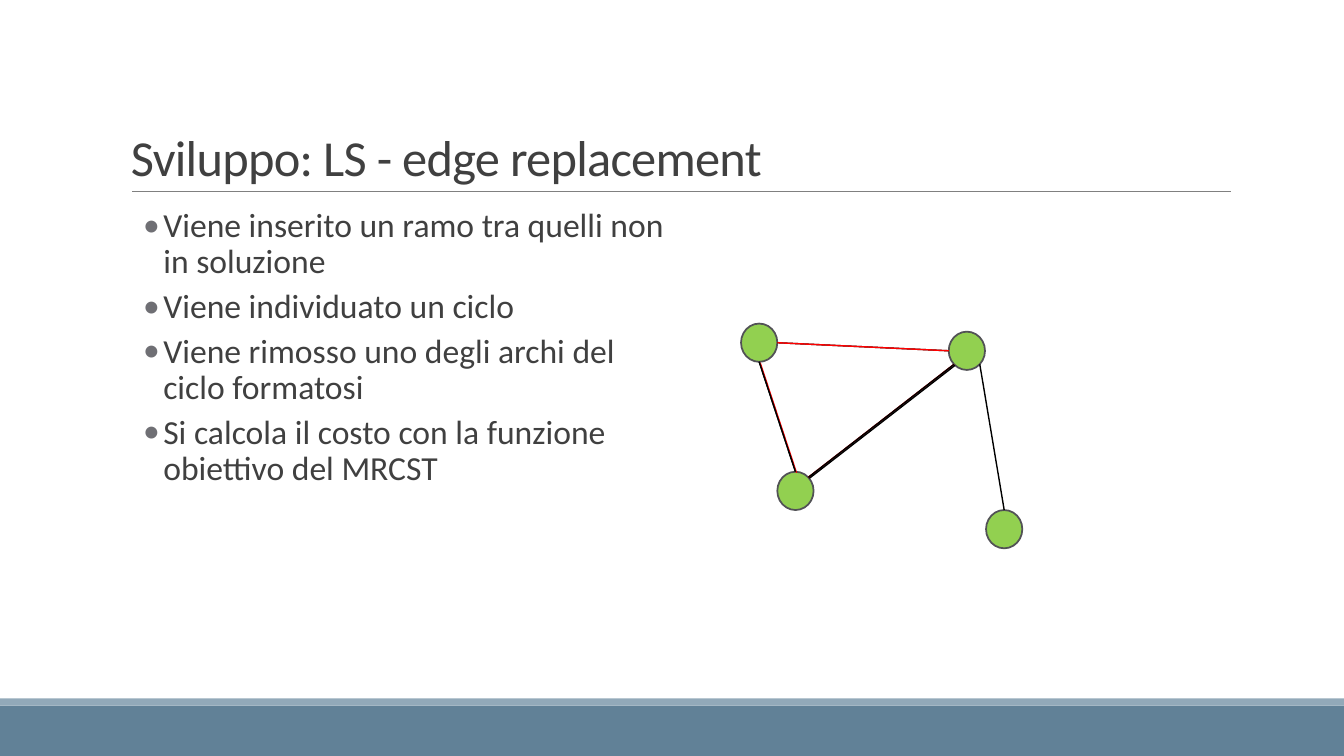
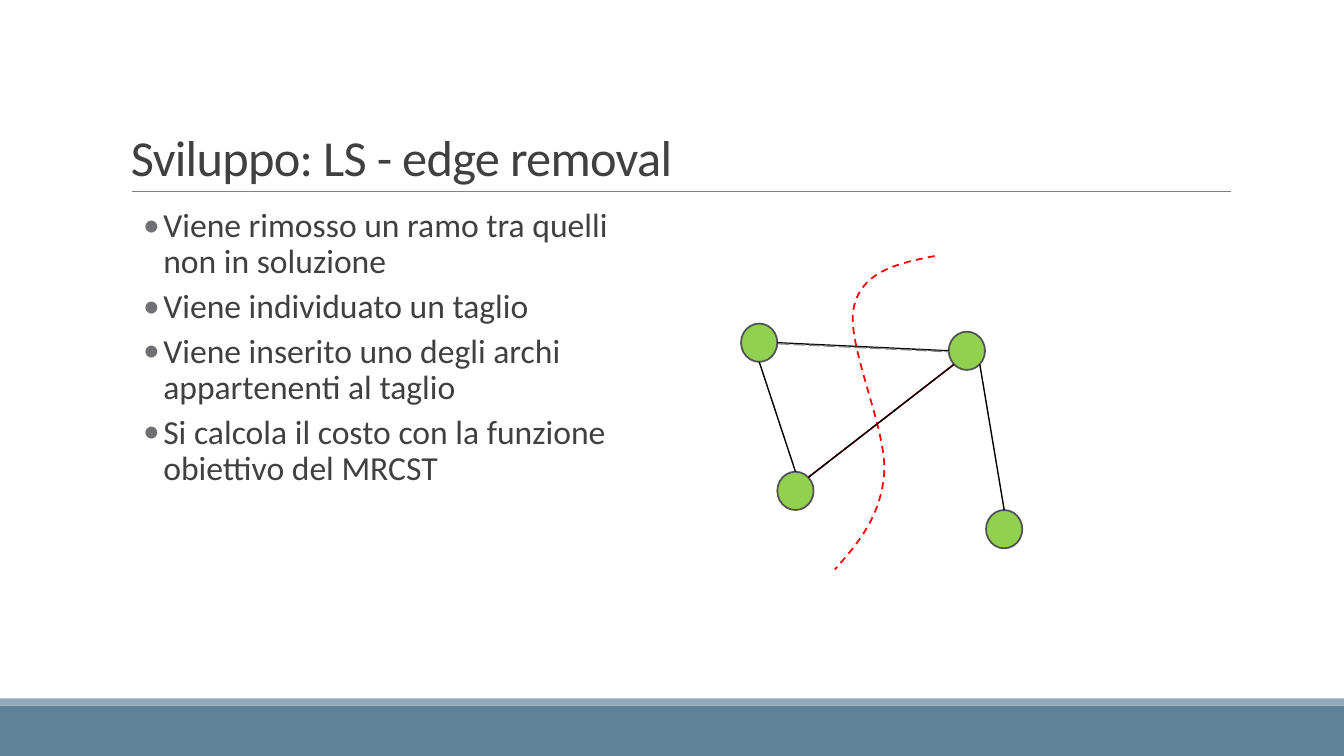
import pptx
import pptx.dml.color
import pptx.enum.dml
import pptx.enum.shapes
import pptx.enum.text
import pptx.oxml.ns
import pptx.util
from lxml import etree

Inches = pptx.util.Inches
Pt = pptx.util.Pt
SHAPE = pptx.enum.shapes.MSO_SHAPE
DASH = pptx.enum.dml.MSO_LINE
ANCHOR = pptx.enum.text.MSO_ANCHOR

FONT = "Calibri"
TEXT, BULLET, RULE = "404040", "6F6F74", "808080"
BAND, BAND_EDGE = "618197", "92A9B9"
NODE, NODE_EDGE = "92D050", "525256"
BLACK, RED = "000000", "FF0000"

SLIDE_W, SLIDE_H = 13.33, 7.5
TITLE_BOX = (1.2, 0.31, 11, 1.59)
BODY_BOX = (1.2, 2.02, 5.4, 3.69)
GRAPH_BOX = (7.35, 3.21, 2.79, 2.23)
CUT_BOX = (8.28, 2.54, 0.99, 3.11)

NODE_W, NODE_H = 0.36, 0.38
NODES = {"A": (0, 0), "B": (2.06, 0.08), "C": (0.36, 1.47), "D": (2.43, 1.85)}
DIAGONAL = 0.71
SITES = {
    "top": (0, -1),
    "bottom": (0, 1),
    "left": (-1, 0),
    "right": (1, 0),
    "bottom left": (-DIAGONAL, DIAGONAL),
    "bottom right": (DIAGONAL, DIAGONAL),
    "top right": (DIAGONAL, -DIAGONAL),
}
EDGES = {
    "AB": ("right", "left"),
    "AC": ("bottom", "top"),
    "BD": ("bottom right", "top"),
    "CB": ("top right", "bottom left"),
}
CUT_START = (0.99, 0)
CUT_CURVES = [
    ((0.63, 0.07), (0.27, 0.15), (0.19, 0.5)),
    ((0.1, 0.86), (0.52, 1.71), (0.49, 2.15)),
    ((0.46, 2.58), (0.23, 2.85), (0, 3.11)),
]


def color(value):
    return pptx.dml.color.RGBColor.from_string(value)


def style_line(line, value, width, dash=None):
    line.color.rgb = color(value)
    line.width = Pt(width)
    if dash is not None:
        line.dash_style = dash


def add_filled(slide, kind, box, fill, outline=None):
    shape = slide.shapes.add_shape(kind, *map(Inches, box))
    shape.shadow.inherit = False
    shape.fill.solid()
    shape.fill.fore_color.rgb = color(fill)
    if outline:
        style_line(shape.line, outline, 1.25)
    else:
        shape.line.fill.background()


def add_line(slide, start, end, value, width=1, dash=None):
    line = slide.shapes.add_connector(
        pptx.enum.shapes.MSO_CONNECTOR.STRAIGHT, *map(Inches, (*start, *end)))
    style_line(line.line, value, width, dash)
    etree.SubElement(line._element.spPr, pptx.oxml.ns.qn("a:effectLst"))


def add_text_frame(slide, box, anchor, side_inset):
    frame = slide.shapes.add_textbox(*map(Inches, box)).text_frame
    frame.word_wrap = True
    frame.vertical_anchor = anchor
    frame.margin_left = frame.margin_right = Inches(side_inset)
    return frame


def add_run(paragraph, text, size):
    run = paragraph.add_run()
    run.text = text
    run.font.name = FONT
    run.font.size = Pt(size)
    run.font.color.rgb = color(TEXT)
    return run


def set_bullet(paragraph):
    qn = pptx.oxml.ns.qn
    properties = paragraph._p.get_or_add_pPr()
    properties.set("marL", str(Inches(0.42)))
    properties.set("indent", str(Inches(-0.2)))
    bullet_color = etree.SubElement(properties, qn("a:buClr"))
    etree.SubElement(bullet_color, qn("a:srgbClr"), val=BULLET)
    etree.SubElement(properties, qn("a:buFont"), typeface=FONT)
    etree.SubElement(properties, qn("a:buChar"), char="•")


def add_footer_band(slide):
    add_filled(slide, SHAPE.RECTANGLE, (0, 7, SLIDE_W, 0.5), BAND)
    add_filled(slide, SHAPE.RECTANGLE, (0, 6.93, SLIDE_W, 0.07), BAND_EDGE)


def add_title(slide, box, text):
    left, top, width, height = box
    baseline = top + height
    add_line(slide, (left + 0.11, baseline), (left + width + 0.01, baseline), RULE, 0.5)
    paragraph = add_text_frame(slide, box, ANCHOR.BOTTOM, 0.1).paragraphs[0]
    paragraph.line_spacing = 0.85
    run = add_run(paragraph, text, 36)
    run._r.get_or_add_rPr().set("spc", "-50")


def add_steps(slide, box, steps):
    frame = add_text_frame(slide, box, ANCHOR.TOP, 0)
    for index, step in enumerate(steps):
        paragraph = frame.add_paragraph() if index else frame.paragraphs[0]
        paragraph.line_spacing = 0.9
        paragraph.space_before = Pt(2)
        paragraph.space_after = Pt(4)
        set_bullet(paragraph)
        add_run(paragraph, step, 24)


def site_point(box, node, site):
    x, y = NODES[node]
    dx, dy = SITES[site]
    return (box[0] + x + NODE_W / 2 * (1 + dx),
            box[1] + y + NODE_H / 2 * (1 + dy))


def add_nodes(slide, box):
    for x, y in NODES.values():
        add_filled(slide, SHAPE.OVAL, (box[0] + x, box[1] + y, NODE_W, NODE_H),
                   NODE, NODE_EDGE)


def add_edges(slide, box, edges):
    for edge, value, shift in edges:
        start, end = (
            tuple(place + shift for place in site_point(box, node, site))
            for node, site in zip(edge, EDGES[edge]))
        add_line(slide, start, end, value,
                 dash=DASH.LONG_DASH if value == RULE else None)


def bezier_points(start, first, second, end, steps=16):
    for step in range(1, steps + 1):
        t = step / steps
        u = 1 - t
        yield tuple(u**3 * a + 3 * u**2 * t * b + 3 * u * t**2 * c + t**3 * d
                    for a, b, c, d in zip(start, first, second, end))


def add_cut(slide, box):
    points = [CUT_START]
    for curve in CUT_CURVES:
        points += bezier_points(points[-1], *curve)
    (x, y), *rest = [(Inches(box[0] + px), Inches(box[1] + py)) for px, py in points]
    builder = slide.shapes.build_freeform(x, y)
    builder.add_line_segments(rest, close=False)
    cut = builder.convert_to_shape()
    cut.shadow.inherit = False
    cut.fill.background()
    style_line(cut.line, RED, 1.25, DASH.DASH)


def add_search_slide(deck, title, steps, edges, top_edges, with_cut):
    slide = deck.slides.add_slide(deck.slide_layouts[6])
    add_footer_band(slide)
    add_title(slide, TITLE_BOX, title)
    add_steps(slide, BODY_BOX, steps)
    add_nodes(slide, GRAPH_BOX)
    add_edges(slide, GRAPH_BOX, edges)
    if with_cut:
        add_cut(slide, CUT_BOX)
    add_edges(slide, GRAPH_BOX, top_edges)


def main():
    deck = pptx.Presentation()
    deck.slide_width, deck.slide_height = Inches(SLIDE_W), Inches(SLIDE_H)
    cost_step = "Si calcola il costo con la funzione obiettivo del MRCST"
    add_search_slide(
        deck, "Sviluppo: LS - edge replacement",
        ["Viene inserito un ramo tra quelli non in soluzione",
         "Viene individuato un ciclo",
         "Viene rimosso uno degli archi del ciclo formatosi",
         cost_step],
        [("AB", BLACK, 0), ("AC", BLACK, 0), ("BD", BLACK, 0), ("CB", RULE, 0)],
        [("AB", RED, 0), ("AC", RED, 0.01), ("CB", RED, 0),
         ("CB", BLACK, 0.01), ("AC", BLACK, 0), ("CB", BLACK, 0)],
        with_cut=False)
    add_search_slide(
        deck, "Sviluppo: LS - edge removal",
        ["Viene rimosso un ramo tra quelli non in soluzione",
         "Viene individuato un taglio",
         "Viene inserito uno degli archi appartenenti al taglio",
         cost_step],
        [("BD", BLACK, 0), ("AB", BLACK, 0), ("AC", BLACK, 0),
         ("CB", RULE, 0), ("AB", RULE, 0.01)],
        [("CB", RED, 0), ("CB", BLACK, 0)],
        with_cut=True)
    deck.save("out.pptx")


if __name__ == "__main__":
    main()
